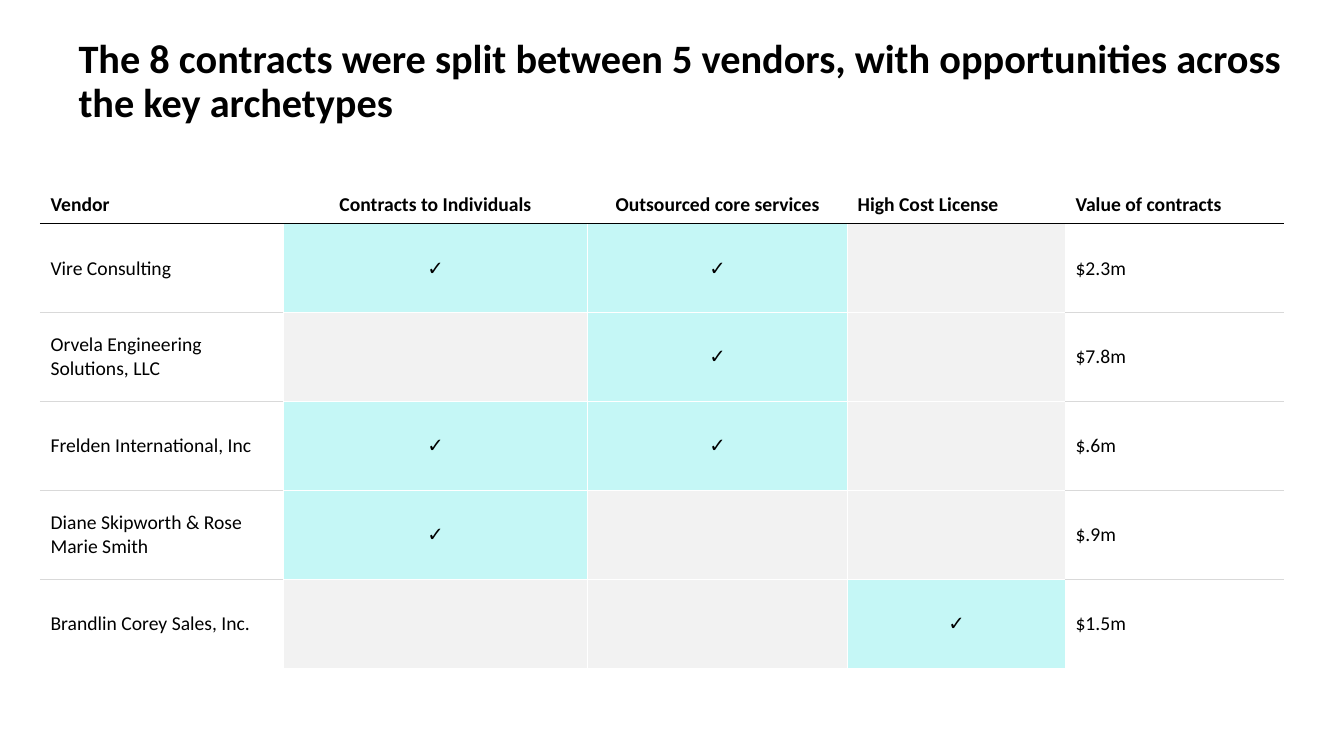
"""Builds a slide with a table of vendors, contract archetypes and values."""
from lxml.etree import SubElement
from pptx import Presentation
from pptx.dml.color import RGBColor
from pptx.enum.text import MSO_ANCHOR, PP_ALIGN
from pptx.oxml.ns import qn
from pptx.util import Cm, Pt

COLORS = {"text": "000000", "white": "FFFFFF", "rule": "D9D9D9", "match": "C5F7F6", "empty": "F2F2F2"}
TITLE = "The 8 contracts were split between 5 vendors, with opportunities across the key archetypes"
HEADERS = ["Vendor", "Contracts to Individuals", "Outsourced core services", "High Cost License",
           "Value of contracts"]
VENDORS = [
    ["Vire Consulting", "✓", "✓", "", "$2.3m"],
    ["Orvela Engineering Solutions, LLC", "", "✓", "", "$7.8m"],
    ["Frelden International, Inc", "✓", "✓", "", "$.6m"],
    ["Diane Skipworth & Rose Marie Smith", "✓", "", "", "$.9m"],
    ["Brandlin Corey Sales, Inc.", "", "", "✓", "$1.5m"],
]
COLUMN_WIDTHS = [6.12, 7.67, 6.55, 5.49, 5.49]
HEADER_HEIGHT, ROW_HEIGHT = 0.97, 2.24
ARCHETYPE_COLUMNS = range(1, 4)


class VendorSlide:
    def __init__(self, presentation, font="Calibri"):
        self.slide = presentation.slides.add_slide(presentation.slide_layouts[6])
        self.font = font

    def add_text(self, paragraph, text, size, bold=False, **paragraph_format):
        for name, value in paragraph_format.items():
            setattr(paragraph, name, value)
        run = paragraph.add_run()
        run.text = text
        for name, value in {"name": self.font, "size": Pt(size), "bold": bold}.items():
            setattr(run.font, name, value)
        run.font.color.rgb = RGBColor.from_string(COLORS["text"])

    def title(self, text, left, top, width, height):
        shape = self.slide.shapes.add_textbox(Cm(left), Cm(top), Cm(width), Cm(height))
        frame = shape.text_frame
        for name, value in {"word_wrap": True, "vertical_anchor": MSO_ANCHOR.MIDDLE}.items():
            setattr(frame, name, value)
        self.add_text(frame.paragraphs[0], text, 28.8, bold=True, line_spacing=0.9)

    def borders(self, cell, top, bottom):
        properties = cell._tc.get_or_add_tcPr()
        sides = {"L": "white", "R": "white", "T": top, "B": bottom}
        for side, color in sides.items():
            line = SubElement(properties, qn(f"a:ln{side}"), w=str(Pt(1)))
            fill = SubElement(line, qn("a:solidFill"))
            SubElement(fill, qn("a:srgbClr"), val=COLORS[color])

    def cell(self, cell, text, row, column):
        header, archetype = row == 0, column in ARCHETYPE_COLUMNS
        inner = "white" if archetype else "rule"
        top = {0: "white", 1: "text"}.get(row, inner)
        bottom = {0: "text", len(VENDORS): "white"}.get(row, inner)
        self.borders(cell, top, bottom)
        if archetype and not header:
            cell.fill.solid()
            cell.fill.fore_color.rgb = RGBColor.from_string(COLORS["match" if text else "empty"])
        else:
            cell.fill.background()
        cell.vertical_anchor = MSO_ANCHOR.MIDDLE
        if text:
            centered = archetype and text != "High Cost License"
            alignment = PP_ALIGN.CENTER if centered else PP_ALIGN.LEFT
            self.add_text(cell.text_frame.paragraphs[0], text, 14, bold=header, alignment=alignment)

    def table(self, rows, left, top):
        heights = [HEADER_HEIGHT] + [ROW_HEIGHT] * (len(rows) - 1)
        table = self.slide.shapes.add_table(
            len(rows), len(COLUMN_WIDTHS), Cm(left), Cm(top), Cm(sum(COLUMN_WIDTHS)), Cm(sum(heights))).table
        for name, value in {"first_row": False, "horz_banding": False}.items():
            setattr(table, name, value)
        for column, width in zip(table.columns, COLUMN_WIDTHS):
            column.width = Cm(width)
        for row, (values, height) in enumerate(zip(rows, heights)):
            table.rows[row].height = Cm(height)
            for column, text in enumerate(values):
                self.cell(table.cell(row, column), text, row, column)


def main():
    presentation = Presentation()
    presentation.slide_width, presentation.slide_height = Cm(33.87), Cm(19.05)
    vendor_slide = VendorSlide(presentation)
    vendor_slide.table([HEADERS] + VENDORS, 1.02, 4.67)
    vendor_slide.title(TITLE, 1.73, 1.24, 31.17, 1.68)
    presentation.save("out.pptx")


if __name__ == "__main__":
    main()
